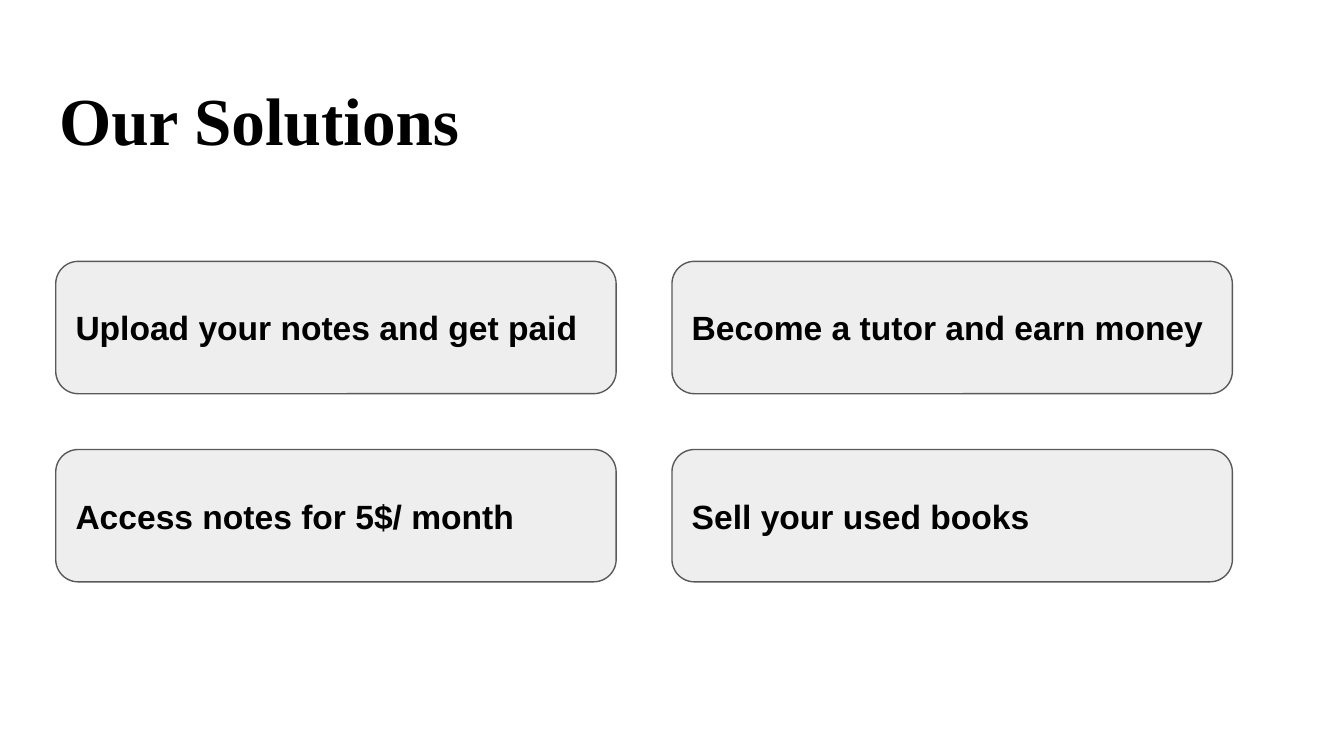
"""Build the Our Solutions slide with a two by two grid of cards."""
from dataclasses import dataclass

import pptx
import pptx.dml.color
import pptx.enum.shapes
import pptx.enum.text
import pptx.util

PX = 4572
COLOURS = {"ink": "000000", "card": "EEEEEE", "border": "595959"}
INSET = 20
LEFT, TOP, WIDTH, HEIGHT = 83, 389, 834, 197
COLUMN_STEP, ROW_STEP = 917, 280
COLUMNS = (
    ("Upload your notes and get paid", "Access notes for 5$/ month"),
    ("Become a tutor and earn money", "Sell your used books"),
)


@dataclass
class Card:
    text: str
    column: int
    row: int


def px(length: int) -> int:
    return length * PX


def colour(name: str) -> pptx.dml.color.RGBColor:
    return pptx.dml.color.RGBColor.from_string(COLOURS[name])


def write(shape, text: str, font: str, size: int, anchor) -> None:
    frame = shape.text_frame
    frame_format = {
        "word_wrap": True,
        "auto_size": pptx.enum.text.MSO_AUTO_SIZE.NONE,
        "vertical_anchor": anchor,
        "margin_left": px(INSET),
        "margin_right": px(INSET),
        "margin_top": px(INSET),
        "margin_bottom": px(INSET),
    }
    for name, value in frame_format.items():
        setattr(frame, name, value)
    para = frame.paragraphs[0]
    para.alignment = pptx.enum.text.PP_ALIGN.LEFT
    para.line_spacing = 1.0
    span = para.add_run()
    span.text = text
    for name, value in {"name": font, "size": pptx.util.Pt(size), "bold": True}.items():
        setattr(span.font, name, value)
    span.font.color.rgb = colour("ink")


def draw_title(page, text: str) -> None:
    title = page.shapes.title
    place = {"left": 68, "top": 97, "width": 1864, "height": 125}
    for name, value in place.items():
        setattr(title, name, px(value))
    write(title, text, "Times New Roman", 36, pptx.enum.text.MSO_ANCHOR.TOP)


def draw_card(page, card: Card) -> None:
    box = page.shapes.add_shape(
        pptx.enum.shapes.MSO_SHAPE.ROUNDED_RECTANGLE,
        px(LEFT + card.column * COLUMN_STEP),
        px(TOP + card.row * ROW_STEP),
        px(WIDTH),
        px(HEIGHT),
    )
    box.shadow.inherit = False
    box.adjustments[0] = 0.17
    box.fill.solid()
    box.fill.fore_color.rgb = colour("card")
    box.line.color.rgb = colour("border")
    box.line.width = pptx.util.Pt(0.75)
    write(box, card.text, "Arial", 18, pptx.enum.text.MSO_ANCHOR.MIDDLE)


def main() -> None:
    deck = pptx.Presentation()
    deck.slide_width, deck.slide_height = px(2000), px(1125)
    page = deck.slides.add_slide(deck.slide_layouts[5])
    draw_title(page, "Our Solutions")
    for column, texts in enumerate(COLUMNS):
        for row, text in enumerate(texts):
            draw_card(page, Card(text, column, row))
    deck.save("out.pptx")


if __name__ == "__main__":
    main()
